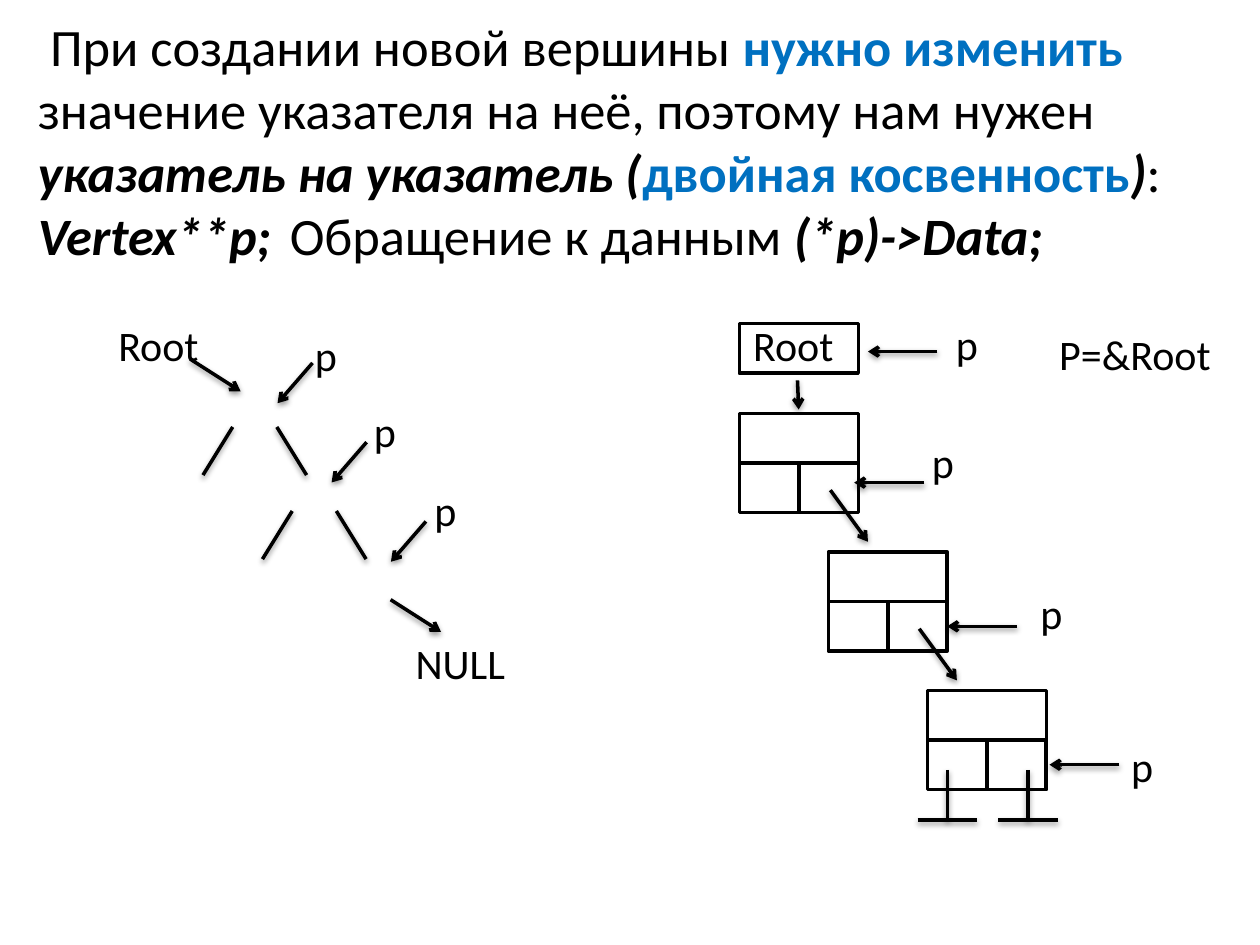
from lxml.etree import SubElement as Sub
from pptx import Presentation
from pptx.dml.color import RGBColor as RGB
from pptx.enum.shapes import MSO_CONNECTOR as Conn, MSO_SHAPE as Shape
from pptx.enum.text import MSO_AUTO_SIZE as Auto
from pptx.oxml.ns import qn
from pptx.util import Pt

COLORS = {"ink": "000000", "blue": "0070C0"}
FACE = "Calibri"
BOLD = {"bold": True}
STRONG = {"bold": True, "italic": True}
RUNS = [
    ("При создании новой вершины ", "ink", {}),
    ("нужно изменить", "blue", BOLD),
    (" значение указателя на неё, поэтому нам нужен ", "ink", {}),
    ("указатель на указатель (", "ink", STRONG),
    ("двойная косвенность", "blue", BOLD),
    (")", "ink", STRONG),
    (": ", "ink", {}),
    ("Vertex**p;", "ink", STRONG),
    ("\tОбращение к данным ", "ink", {}),
    ("(*p)->Data;", "ink", STRONG),
]
CELL_W, CELL_H = 34, 28.35


def style(font, size, color="ink", **form):
    values = {"name": FACE, "size": Pt(size), **form}
    for key, value in values.items():
        setattr(font, key, value)
    font.color.rgb = RGB.from_string(COLORS[color])


def place(shape, x, y, w, h):
    box = {"left": x, "top": y, "width": w, "height": h}
    for key, value in box.items():
        setattr(shape, key, Pt(value))


def label(slide, text, x, y, w=36.5):
    box = slide.shapes.add_textbox(Pt(x), Pt(y), Pt(w), Pt(36.35))
    frame = box.text_frame
    frame.word_wrap = True
    frame.auto_size = Auto.SHAPE_TO_FIT_TEXT
    run = frame.paragraphs[0].add_run()
    run.text = text
    style(run.font, 24)


def line(slide, x, y, dx, dy, arrow=False):
    edge = slide.shapes.add_connector(
        Conn.STRAIGHT, Pt(x), Pt(y), Pt(x + dx), Pt(y + dy))
    edge.line.width = Pt(2)
    edge.line.color.rgb = RGB.from_string(COLORS["ink"])
    if arrow:
        Sub(edge.line._get_or_add_ln(), qn("a:tailEnd"), type="arrow")
    return edge


def rect(slide, x, y, w):
    box = slide.shapes.add_shape(
        Shape.RECTANGLE, Pt(x), Pt(y), Pt(w), Pt(CELL_H))
    box.shadow.inherit = False
    box.fill.background()
    box.line.width = Pt(2)
    box.line.color.rgb = RGB.from_string(COLORS["ink"])
    return box


def intro(slide, x, y, w, h):
    body = slide.placeholders[1]
    place(body, x, y, w, h)
    para = body.text_frame.paragraphs[0]
    para.space_before = Pt(0)
    props = para._p.get_or_add_pPr()
    props.set("marL", "0")
    props.set("indent", str(Pt(7)))
    Sub(props, qn("a:buNone"))
    tabs = Sub(props, qn("a:tabLst"))
    Sub(tabs, qn("a:tab"), pos=str(Pt(154)), algn="l")
    for text, color, form in RUNS:
        run = para.add_run()
        run.text = text
        style(run.font, 30, color, **form)


def tree(slide, x, y):
    for level in range(2):
        top = y + 66 + 48 * level
        left = x + 73 + 34 * level
        line(slide, left, top, -17, 27.5)
        line(slide, left + 25.2, top, 17, 27.5)
    label(slide, "Root", x + 0.5, y + 1.3, 73)
    line(slide, x + 48.7, y + 27.2, 28.8, 18.4, True)
    marks = [(112.8, 7, 118.6, 29.4),
             (146.6, 50.2, 149.5, 74.7),
             (181.2, 95.6, 183.4, 120)]
    for px, py, ax, ay in marks:
        label(slide, "p", x + px, y + py)
        line(slide, x + ax, y + ay, -20, 23, True)
    line(slide, x + 163.2, y + 164.7, 28.8, 18.4, True)
    label(slide, "NULL", x + 170.4, y + 182.7, 73)


def node(slide, x, y):
    rect(slide, x, y + CELL_H, CELL_W)
    rect(slide, x, y, 2 * CELL_W)
    return rect(slide, x + CELL_W, y + CELL_H, CELL_W)


def ground(slide, x, y):
    line(slide, x, y, 0, 28.8)
    line(slide, x - 17, y + 28.8, 34, 0)


def chain(slide, x, y):
    rect(slide, x, y + 7, 2 * CELL_W)
    label(slide, "Root", x + 0.8, y + 1.3, 73)
    line(slide, x + 33.2, y + 39.4, 0.7, 16.6, True)
    line(slide, x + 113.1, y + 22.9, -39.6, 0, True)
    label(slide, "p", x + 116.7, y + 0.6)
    label(slide, "P=&Root", x + 175.7, y + 6.3, 102.5)
    nodes = [(0, 65.6, 39.6, 103, 10),
             (50.8, 68, 1.5 * CELL_H, 114.2, 16.5),
             (107.4, 69.8, 42.4, 109.4, 25.2)]
    for i, (shift, tip, mid, px, py) in enumerate(nodes):
        left, top = x + shift, y + 58.2 + 79.2 * i
        cell = node(slide, left, top)
        if i < 2:
            line(slide, left + 52, top + 43.9, 21.5, 29.5, True)
        else:
            for dx in (11.5, 57.6):
                ground(slide, left + dx, top + 45.3)
        edge = line(slide, left + tip + 40, top + mid, -40, 0, True)
        if tip == 2 * CELL_W:
            edge.end_connect(cell, 3)
        label(slide, "p", left + px, top + py)


def main():
    deck = Presentation()
    deck.slide_width, deck.slide_height = Pt(720), Pt(540)
    slide = deck.slides.add_slide(deck.slide_layouts[1])
    title = slide.shapes.title._element
    title.getparent().remove(title)
    intro(slide, 14.4, 4.3, 686, 507)
    tree(slide, 60, 178)
    chain(slide, 422.5, 178)
    deck.save("out.pptx")


if __name__ == "__main__":
    main()
